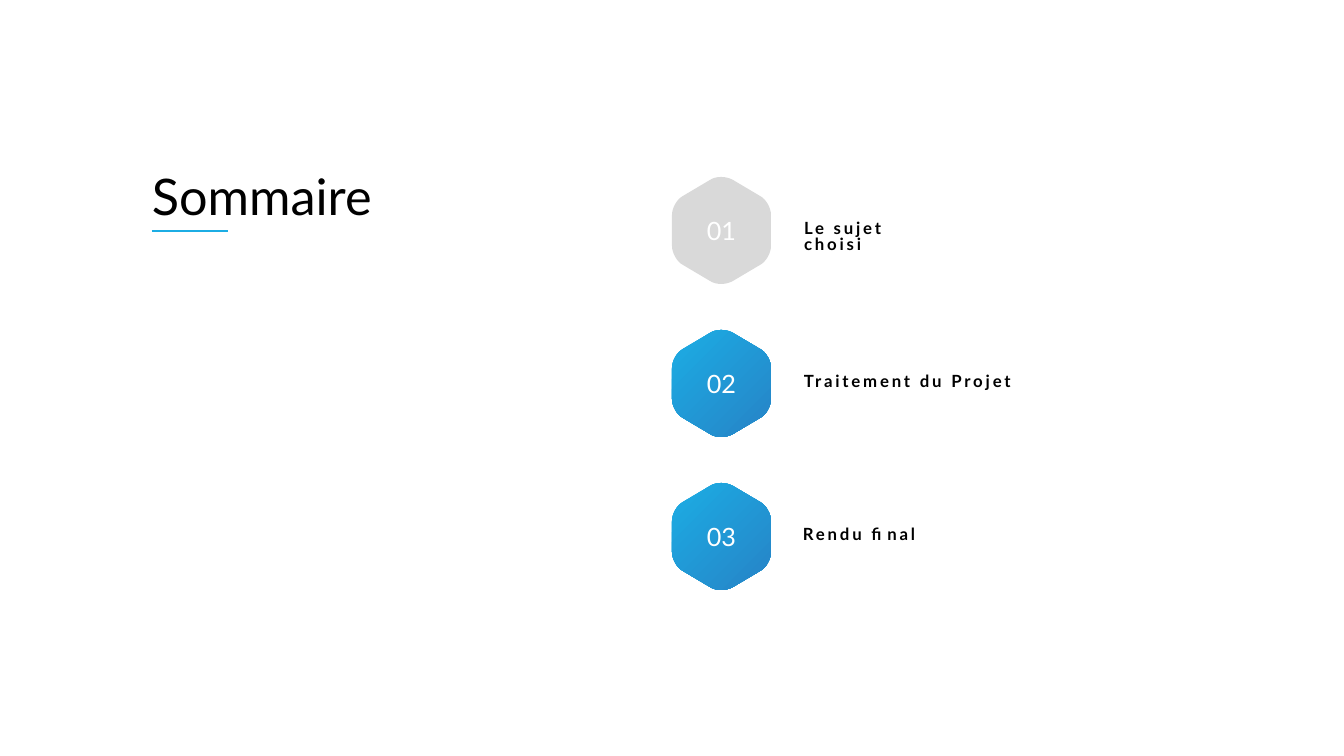
import pptx
import pptx.util
import pptx.dml.color
import pptx.enum.shapes
import pptx.enum.text
import pptx.oxml.ns
import lxml.etree

TITLE = "Sommaire"
TITLE_BOX = (152, 177, 406, 50)
UNDERLINE = (152, 231, 228, 231)
CHAPTERS = [
    {"number": "01", "label": "Le sujet choisi", "colors": ["D9D9D9"], "left": 804, "width": 141},
    {"number": "02", "label": "Traitement du Projet", "colors": ["1CADE4", "2683C6"], "left": 804, "width": 212},
    {"number": "03", "label": "Rendu final", "colors": ["1CADE4", "2683C6"], "left": 803, "width": 120},
]
BADGE_LEFT, BADGE_TOP, BADGE_PITCH = 672, 177, 153
BADGE_WIDTH, BADGE_HEIGHT = 99, 107
LABEL_DROP, LABEL_HEIGHT = 45, 17
HEXAGON_CORNERS = [
    ((0, 38), (0, 31), (5, 22), (11, 19)),
    ((38, 3), (44, -1), (54, -1), (61, 3)),
    ((88, 19), (94, 22), (99, 31), (99, 38)),
    ((99, 69), (99, 76), (94, 85), (88, 88)),
    ((61, 104), (54, 108), (44, 108), (38, 104)),
    ((11, 88), (5, 85), (0, 76), (0, 69)),
]
TITLE_FONT = {"name": "Lato", "size": pptx.util.Pt(36), "bold": False}
NUMBER_FONT = {"name": "Lato", "size": pptx.util.Pt(18), "bold": False}
LABEL_FONT = {"name": "Lato", "size": pptx.util.Pt(12), "bold": True}
FRAME = {"margin_left": 0, "margin_top": 0, "margin_right": 0, "margin_bottom": 0, "word_wrap": True}
EMU_PER_PX = 914400 / 100.8


def px(length):
    return pptx.util.Emu(round(length * EMU_PER_PX))


def rgb(value):
    return pptx.dml.color.RGBColor.from_string(value)


def apply(target, values):
    for name, value in values.items():
        setattr(target, name, value)


def add_xml(parent, tag, **attributes):
    return lxml.etree.SubElement(parent, pptx.oxml.ns.qn(tag), attributes)


def write(shape, text, font, color, frame, paragraph_format, spacing=0):
    apply(shape.text_frame, {**FRAME, **frame})
    paragraph = shape.text_frame.paragraphs[0]
    apply(paragraph, paragraph_format)
    run = paragraph.add_run()
    run.text = text
    apply(run.font, font)
    run.font.color.rgb = rgb(color)
    if spacing:
        run._r.get_or_add_rPr().set("spc", str(spacing))


def add_text(shapes, box, text, font, spacing=0):
    textbox = shapes.add_textbox(*map(px, box))
    write(textbox, text, font, "000000", {"auto_size": pptx.enum.text.MSO_AUTO_SIZE.SHAPE_TO_FIT_TEXT},
          {"line_spacing": 0.8}, spacing)


def round_corners(badge):
    outline = badge._element.find(".//" + pptx.oxml.ns.qn("a:path"))
    for segment in list(outline):
        outline.remove(segment)
    for index, (start, *curve) in enumerate(HEXAGON_CORNERS):
        segments = [("a:lnTo" if index else "a:moveTo", [start]), ("a:cubicBezTo", curve)]
        for tag, points in segments:
            segment = add_xml(outline, tag)
            for x, y in points:
                add_xml(segment, "a:pt", x=str(x), y=str(y))
    add_xml(outline, "a:close")


def add_badge(shapes, top, number, colors):
    right, bottom = BADGE_LEFT + BADGE_WIDTH, top + BADGE_HEIGHT
    builder = shapes.build_freeform(BADGE_LEFT, top, scale=EMU_PER_PX)
    builder.add_line_segments([(right, top), (right, bottom), (BADGE_LEFT, bottom)], close=True)
    badge = builder.convert_to_shape()
    round_corners(badge)
    badge.shadow.inherit = False
    badge.line.fill.background()
    if len(colors) == 1:
        badge.fill.solid()
        badge.fill.fore_color.rgb = rgb(colors[0])
    else:
        badge.fill.gradient()
        badge.fill.gradient_angle = 315
        for stop, color in zip(badge.fill.gradient_stops, colors):
            stop.color.rgb = rgb(color)
    write(badge, number, NUMBER_FONT, "FFFFFF",
          {"vertical_anchor": pptx.enum.text.MSO_ANCHOR.MIDDLE},
          {"alignment": pptx.enum.text.PP_ALIGN.CENTER})


def main():
    deck = pptx.Presentation()
    apply(deck, {"slide_width": px(1344), "slide_height": px(756)})
    slide = deck.slides.add_slide(deck.slide_layouts[6])

    add_text(slide.shapes, TITLE_BOX, TITLE, TITLE_FONT)
    underline = slide.shapes.add_connector(pptx.enum.shapes.MSO_CONNECTOR.STRAIGHT, *map(px, UNDERLINE))
    underline.line.width = pptx.util.Pt(2)
    underline.line.color.rgb = rgb("1CADE4")
    add_xml(underline._element.spPr, "a:effectLst")

    for index, chapter in enumerate(CHAPTERS):
        top = BADGE_TOP + index * BADGE_PITCH
        group = slide.shapes.add_group_shape()
        add_badge(group.shapes, top, chapter["number"], chapter["colors"])
        label_box = (chapter["left"], top + LABEL_DROP, chapter["width"], LABEL_HEIGHT)
        add_text(group.shapes, label_box, chapter["label"], LABEL_FONT, spacing=200)

    deck.save("out.pptx")


if __name__ == "__main__":
    main()
